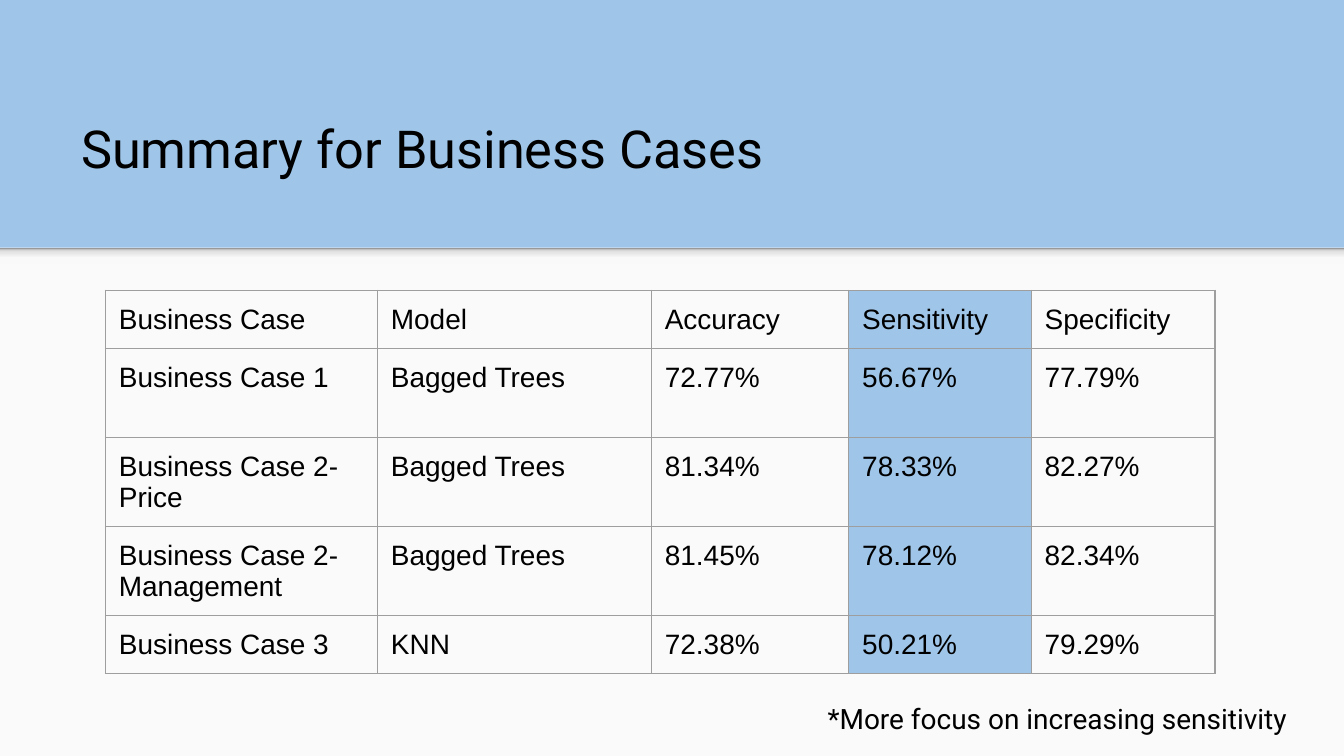
from dataclasses import dataclass

from lxml import etree
from pptx import Presentation
from pptx.dml.color import RGBColor
from pptx.enum.shapes import MSO_SHAPE
from pptx.enum.text import MSO_ANCHOR, PP_ALIGN
from pptx.oxml import parse_xml
from pptx.oxml.ns import nsdecls, qn
from pptx.util import Pt

RECTANGLE = MSO_SHAPE.RECTANGLE
TOP, BOTTOM = MSO_ANCHOR.TOP, MSO_ANCHOR.BOTTOM
LEFT = PP_ALIGN.LEFT


@dataclass(frozen=True)
class Theme:
    blue: str = "9FC5E8"
    panel: str = "FAFAFA"
    ink: str = "000000"
    border: str = "9E9E9E"
    shadow: tuple = ((0, "F9F9F9"), (36, "F9F9F9"), (80, "DEDEDE"), (100, "999999"))
    heading_font: str = "Roboto"
    table_font: str = "Arial"
    title_size: float = 28
    text_size: float = 15
    inset: float = 7.2
    border_width: float = 0.75


THEME = Theme()

TITLE = "Summary for Business Cases"
FOOTNOTE = "*More focus on increasing sensitivity"
RESULTS = [
    ("Business Case", "Model", "Accuracy", "Sensitivity", "Specificity"),
    ("Business Case 1", "Bagged Trees", "72.77%", "56.67%", "77.79%"),
    ("Business Case 2- Price", "Bagged Trees", "81.34%", "78.33%", "82.27%"),
    ("Business Case 2- Management", "Bagged Trees", "81.45%", "78.12%", "82.34%"),
    ("Business Case 3", "KNN", "72.38%", "50.21%", "79.29%"),
]
HIGHLIGHT_COLUMN = RESULTS[0].index("Sensitivity")

PAGE_WIDTH, PAGE_HEIGHT = 720, 405
PANEL_TOP = 132.75
SHADOW_HEIGHT = 8.5
TITLE_BOX = (36.25, 42.75, 647.5, 60.5)
FOOTNOTE_BOX = (436.25, 368.75, 267, 24.5)
TABLE_LEFT, TABLE_TOP = 56.5, 155.5
COLUMN_WIDTHS = (145.75, 146.75, 105.75, 97.75, 98.5)
SHORT_ROW, TALL_ROW = 31, 47.7
ROW_HEIGHTS = (SHORT_ROW, TALL_ROW, TALL_ROW, TALL_ROW, SHORT_ROW)


def write(frame, text, font, size, anchor=TOP):
    frame.word_wrap = True
    frame.vertical_anchor = anchor
    frame.margin_left = frame.margin_right = Pt(THEME.inset)
    frame.margin_top = frame.margin_bottom = Pt(THEME.inset)
    para = frame.paragraphs[0]
    para.alignment = LEFT
    span = para.add_run()
    span.text = text
    span.font.name = font
    span.font.size = Pt(size)
    span.font.color.rgb = RGBColor.from_string(THEME.ink)


def add_band(page, top, height):
    band = page.shapes.add_shape(RECTANGLE, 0, Pt(top), Pt(PAGE_WIDTH), Pt(height))
    band.shadow.inherit = False
    band.fill.solid()
    band.fill.fore_color.rgb = RGBColor.from_string(THEME.panel)
    band.line.fill.background()
    return band


def fade_upward(band):
    stops = "".join(
        f'<a:gs pos="{place * 1000}"><a:srgbClr val="{color}"/></a:gs>'
        for place, color in THEME.shadow
    )
    gradient = parse_xml(
        f'<a:gradFill {nsdecls("a")}><a:gsLst>{stops}</a:gsLst>'
        '<a:lin ang="16200000" scaled="0"/></a:gradFill>'
    )
    properties = band.element.spPr
    properties.replace(properties.find(qn("a:solidFill")), gradient)


def add_borders(cell):
    properties = cell._tc.get_or_add_tcPr()
    for side in ("lnL", "lnR", "lnT", "lnB"):
        line = etree.SubElement(properties, qn(f"a:{side}"), w=str(Pt(THEME.border_width)))
        fill = etree.SubElement(line, qn("a:solidFill"))
        etree.SubElement(fill, qn("a:srgbClr"), val=THEME.border)


def add_results(page):
    table = page.shapes.add_table(
        len(RESULTS), len(COLUMN_WIDTHS), Pt(TABLE_LEFT), Pt(TABLE_TOP),
        Pt(sum(COLUMN_WIDTHS)), Pt(sum(ROW_HEIGHTS)),
    ).table
    table.first_row = table.horz_banding = False
    for column, width in zip(table.columns, COLUMN_WIDTHS):
        column.width = Pt(width)
    for row, height, values in zip(table.rows, ROW_HEIGHTS, RESULTS):
        row.height = Pt(height)
        for index, (cell, value) in enumerate(zip(row.cells, values)):
            add_borders(cell)
            if index == HIGHLIGHT_COLUMN:
                cell.fill.solid()
                cell.fill.fore_color.rgb = RGBColor.from_string(THEME.blue)
            else:
                cell.fill.background()
            cell.margin_left = cell.margin_right = Pt(THEME.inset)
            cell.margin_top = cell.margin_bottom = Pt(THEME.inset)
            write(cell.text_frame, value, THEME.table_font, THEME.text_size)


def main():
    deck = Presentation()
    deck.slide_width, deck.slide_height = Pt(PAGE_WIDTH), Pt(PAGE_HEIGHT)
    page = deck.slides.add_slide(deck.slide_layouts[5])
    page.background.fill.solid()
    page.background.fill.fore_color.rgb = RGBColor.from_string(THEME.blue)

    add_band(page, PANEL_TOP, PAGE_HEIGHT - PANEL_TOP)
    fade_upward(add_band(page, PANEL_TOP, SHADOW_HEIGHT))

    title = page.shapes.title
    title.left, title.top, title.width, title.height = map(Pt, TITLE_BOX)
    write(title.text_frame, TITLE, THEME.heading_font, THEME.title_size, BOTTOM)

    add_results(page)
    footnote = page.shapes.add_textbox(*map(Pt, FOOTNOTE_BOX))
    write(footnote.text_frame, FOOTNOTE, THEME.heading_font, THEME.text_size)
    deck.save("out.pptx")


if __name__ == "__main__":
    main()
